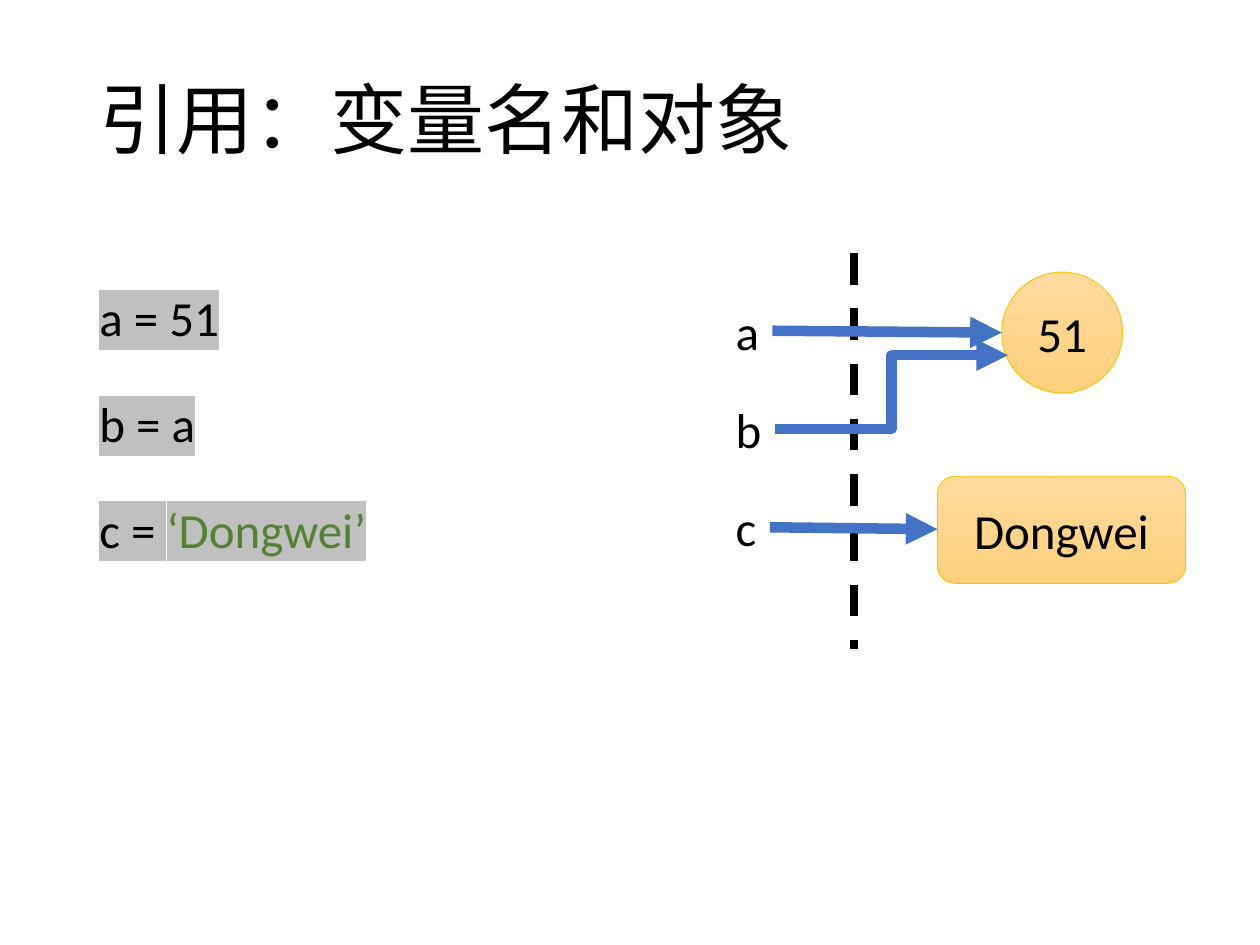
"""Build a slide that shows variable names referring to objects."""
from lxml import etree
from pptx import Presentation
from pptx.dml.color import RGBColor
from pptx.enum import dml, shapes, text
from pptx.oxml import ns
from pptx.util import Inches, Pt

BLACK = RGBColor(0x00, 0x00, 0x00)
GREEN = RGBColor(0x54, 0x82, 0x35)
BLUE = RGBColor(0x44, 0x72, 0xC4)
GOLD = RGBColor(0xFF, 0xC0, 0x00)
GRADIENT = RGBColor(0xFF, 0xDB, 0x9E), RGBColor(0xFF, 0xD0, 0x7C)
GREY = RGBColor(0xC0, 0xC0, 0xC0)
FONT = "Calibri"

TITLE = "引用:变量名和对象".replace(":", "：")
CODE = [
    [("a = 51", BLACK)],
    [("b = a", BLACK)],
    [("c = ", BLACK), ("‘Dongwei’", GREEN)],
]
NAMES = [("a", 0.39), ("b", 0.41), ("c", 0.37)]
NAME_LEFT, NAME_TOP, NAME_STEP, NAME_HEIGHT = 5.74, 2.34, 0.78, 0.57
OBJECTS = [
    ("51", shapes.MSO_SHAPE.OVAL, (7.95, 2.16, 0.96, 0.96)),
    ("Dongwei", shapes.MSO_SHAPE.ROUNDED_RECTANGLE, (7.44, 3.78, 1.97, 0.85)),
]
STRAIGHT, ELBOW = shapes.MSO_CONNECTOR.STRAIGHT, shapes.MSO_CONNECTOR.ELBOW
TARGETS = [(STRAIGHT, 7.95, 2.64), (ELBOW, 8, 2.82), (STRAIGHT, 7.44, 4.2)]
DIVIDER = (6.78, 2.01, 6.78, 5.15)


def style(p, size):
    p.font.name, p.font.size, p.font.color.rgb = FONT, Pt(size), BLACK


def add_text(box, wrap=True):
    tf = s.shapes.add_textbox(*map(Inches, box)).text_frame
    tf.word_wrap = wrap
    return tf


def add_line(kind, points, color, width):
    line = s.shapes.add_connector(kind, *map(Inches, points))
    line.line.color.rgb, line.line.width = color, Pt(width)
    etree.SubElement(line._element.spPr, ns.qn("a:effectLst"))
    return line


def highlight(r):
    mark = etree.Element(ns.qn("a:highlight"))
    etree.SubElement(mark, ns.qn("a:srgbClr"), val=str(GREY))
    r.font.fill._xPr.find(ns.qn("a:solidFill")).addnext(mark)


prs = Presentation()
prs.slide_width, prs.slide_height = Inches(10), Inches(7.5)
s = prs.slides.add_slide(prs.slide_layouts[6])

tf = add_text((0.69, 0.4, 8.62, 1.16))
tf.vertical_anchor = text.MSO_ANCHOR.MIDDLE
p = tf.paragraphs[0]
p.text, p.line_spacing = TITLE, 0.9
style(p, 44)

tf = add_text((0.69, 2, 4.25, 4.76))
for i, runs in enumerate(CODE):
    p = tf.add_paragraph() if i else tf.paragraphs[0]
    p.line_spacing, p.space_before = 1.5, Pt(10)
    style(p, 28)
    for words, color in runs:
        r = p.add_run()
        r.text, r.font.color.rgb = words, color
        highlight(r)

divider = add_line(STRAIGHT, DIVIDER, BLACK, 4.5)
divider.line.dash_style = dml.MSO_LINE.DASH

for words, kind, box in OBJECTS:
    sp = s.shapes.add_shape(kind, *map(Inches, box))
    sp.shadow.inherit = False
    sp.fill.gradient()
    sp.fill.gradient_angle = 270
    for stop, color in zip(sp.fill.gradient_stops, GRADIENT):
        stop.color.rgb = color
    sp.line.color.rgb, sp.line.width = GOLD, Pt(0.5)
    sp.text_frame.vertical_anchor = text.MSO_ANCHOR.MIDDLE
    p = sp.text_frame.paragraphs[0]
    p.text, p.alignment = words, text.PP_ALIGN.CENTER
    style(p, 28)

for i, ((name, width), (kind, x, y)) in enumerate(zip(NAMES, TARGETS)):
    top = NAME_TOP + i * NAME_STEP
    tf = add_text((NAME_LEFT, top, width, NAME_HEIGHT), wrap=False)
    tf.auto_size = text.MSO_AUTO_SIZE.SHAPE_TO_FIT_TEXT
    p = tf.paragraphs[0]
    p.text = name
    style(p, 28)
    start = NAME_LEFT + width, top + NAME_HEIGHT / 2
    arrow = add_line(kind, (*start, x, y), BLUE, 6)
    etree.SubElement(arrow.line._get_or_add_ln(), ns.qn("a:tailEnd"), type="triangle")

prs.save("out.pptx")
